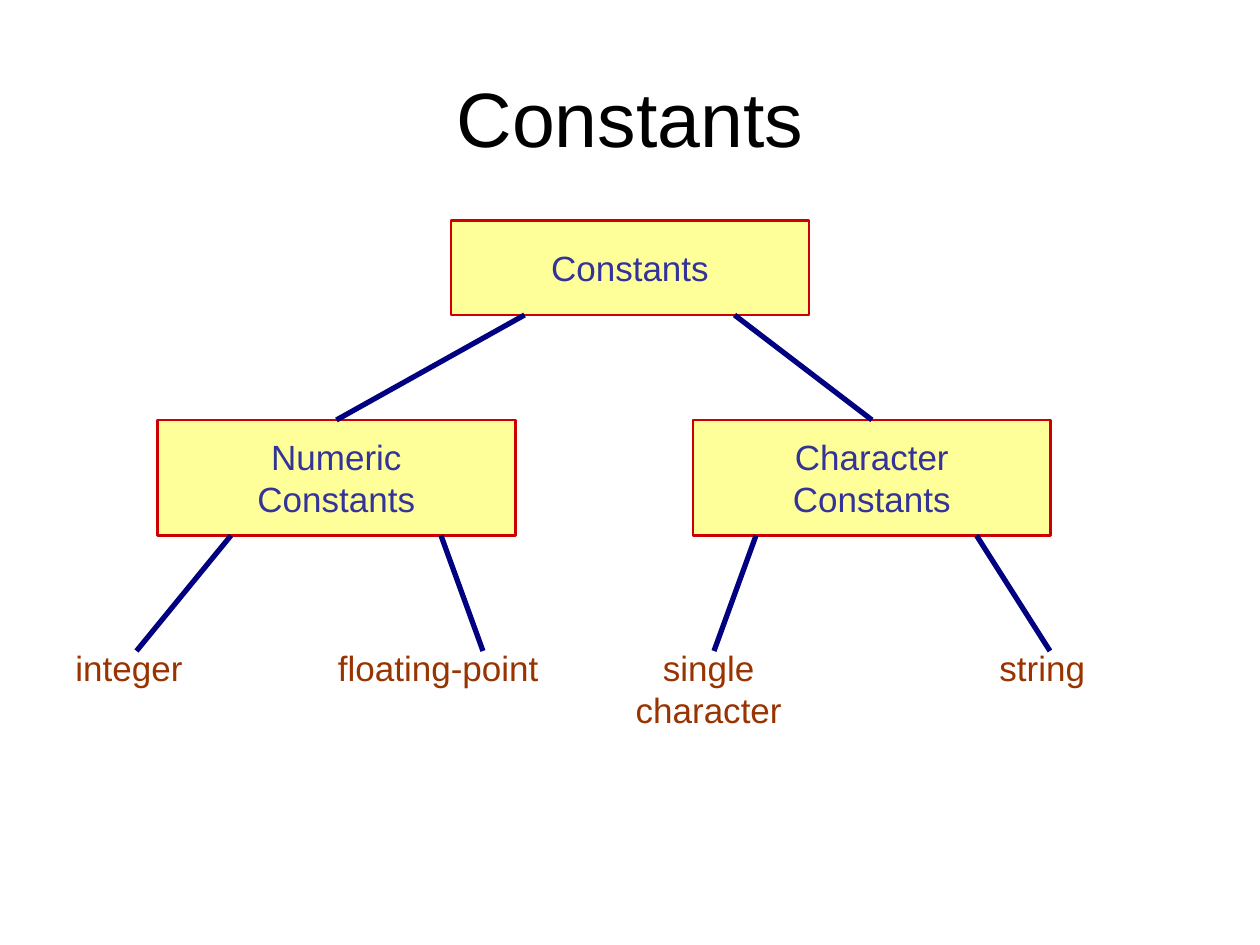
from lxml.etree import SubElement
from pptx import Presentation
from pptx.dml.color import RGBColor
from pptx.enum.shapes import MSO_CONNECTOR, MSO_SHAPE
from pptx.enum.text import MSO_ANCHOR, PP_ALIGN
from pptx.oxml.ns import qn
from pptx.util import Pt

COLORS = {
    "title": "000000",
    "box": "FFFF99",
    "border": "CC0000",
    "box_text": "333399",
    "leaf_text": "993300",
    "branch": "000080",
}
FONT = "Arial"
BOX_WIDTH = 204.5
LEVEL_TOPS = {"root": 126, "category": 240, "leaf": 366}
ROOT_HEIGHT, CATEGORY_HEIGHT = 54, 66
BRANCH_OFFSETS = (42, 162)  # where branches leave a box, from its left edge
BRANCH_END = 372

# Each leaf: lines, left, width, alignment, x where its branch arrives
CATEGORIES = [
    (["Numeric", "Constants"], 90, BRANCH_OFFSETS, [
        (["integer"], 36, 126, PP_ALIGN.LEFT, 78),
        (["floating-point"], 186, 162, PP_ALIGN.LEFT, 276),
    ]),
    (["Character", "Constants"], 396, (36, 162), [
        (["single", "character"], 342, 126, PP_ALIGN.CENTER, 408),
        (["string"], 564, 90, PP_ALIGN.LEFT, 600),
    ]),
]


def rgb(role):
    return RGBColor.from_string(COLORS[role])


def write_lines(frame, lines, size, role, align):
    for index, line in enumerate(lines):
        paragraph = frame.add_paragraph() if index else frame.paragraphs[0]
        paragraph.alignment = align
        run = paragraph.add_run()
        run.text = line
        run.font.name = FONT
        run.font.size = Pt(size)
        run.font.color.rgb = rgb(role)


def place_title(slide, text, left, top, width, height):
    title = slide.shapes.title
    title.left, title.top = Pt(left), Pt(top)
    title.width, title.height = Pt(width), Pt(height)
    title.text_frame.vertical_anchor = MSO_ANCHOR.MIDDLE
    write_lines(title.text_frame, [text], 44, "title", PP_ALIGN.CENTER)


def add_box(slide, lines, left, top, height):
    box = slide.shapes.add_shape(
        MSO_SHAPE.RECTANGLE, Pt(left), Pt(top), Pt(BOX_WIDTH), Pt(height))
    box.shadow.inherit = False
    box.fill.solid()
    box.fill.fore_color.rgb = rgb("box")
    box.line.color.rgb = rgb("border")
    box.line.width = Pt(1.5)
    box.text_frame.word_wrap = False
    box.text_frame.vertical_anchor = MSO_ANCHOR.MIDDLE
    write_lines(box.text_frame, lines, 20, "box_text", PP_ALIGN.CENTER)


def add_leaf(slide, lines, left, top, width, align):
    leaf = slide.shapes.add_textbox(
        Pt(left), Pt(top), Pt(width), Pt(7 + 24 * len(lines)))
    leaf.text_frame.word_wrap = True
    write_lines(leaf.text_frame, lines, 20, "leaf_text", align)


def add_branch(slide, x1, y1, x2, y2):
    branch = slide.shapes.add_connector(
        MSO_CONNECTOR.STRAIGHT, Pt(x1), Pt(y1), Pt(x2), Pt(y2))
    branch.line.color.rgb = rgb("branch")
    branch.line.width = Pt(3)
    SubElement(branch._element.spPr, qn("a:effectLst"))


def add_category(slide, lines, left, top, offsets, leaves):
    """Place a category box with its leaves and the branches to them."""
    add_box(slide, lines, left, top, CATEGORY_HEIGHT)
    for offset, (words, leaf_left, width, align, end_x) in zip(offsets, leaves):
        add_leaf(slide, words, leaf_left, LEVEL_TOPS["leaf"], width, align)
        add_branch(slide, left + offset, top + CATEGORY_HEIGHT, end_x, BRANCH_END)


def add_tree(slide, root_left):
    root_top, category_top = LEVEL_TOPS["root"], LEVEL_TOPS["category"]
    add_box(slide, ["Constants"], root_left, root_top, ROOT_HEIGHT)
    for offset, (lines, left, offsets, leaves) in zip(BRANCH_OFFSETS, CATEGORIES):
        add_category(slide, lines, left, category_top, offsets, leaves)
        add_branch(slide, root_left + offset, root_top + ROOT_HEIGHT,
                   left + BOX_WIDTH / 2, category_top)


def main():
    deck = Presentation()
    deck.slide_width, deck.slide_height = Pt(720), Pt(540)
    slide = deck.slides.add_slide(deck.slide_layouts[5])
    place_title(slide, "Constants", 36, 21.6, 648, 90)
    add_tree(slide, (720 - BOX_WIDTH) / 2)
    deck.save("out.pptx")


if __name__ == "__main__":
    main()
